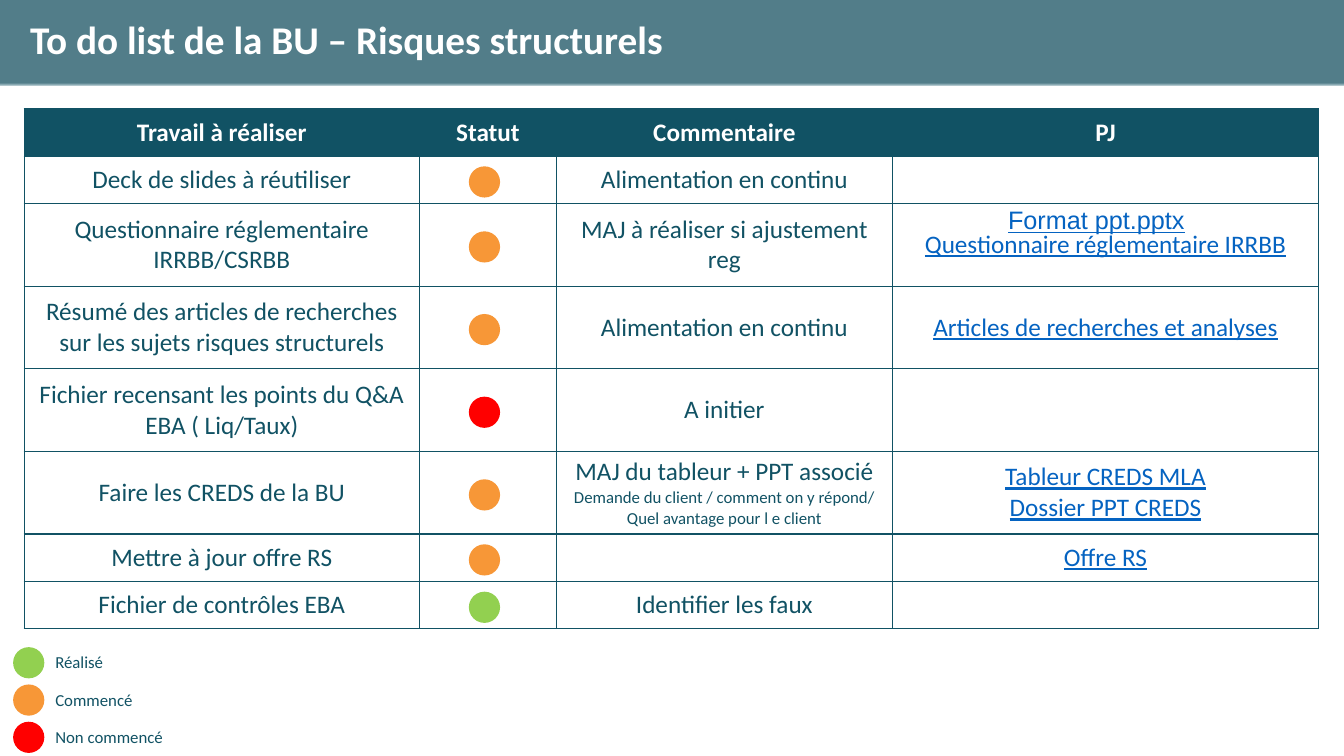
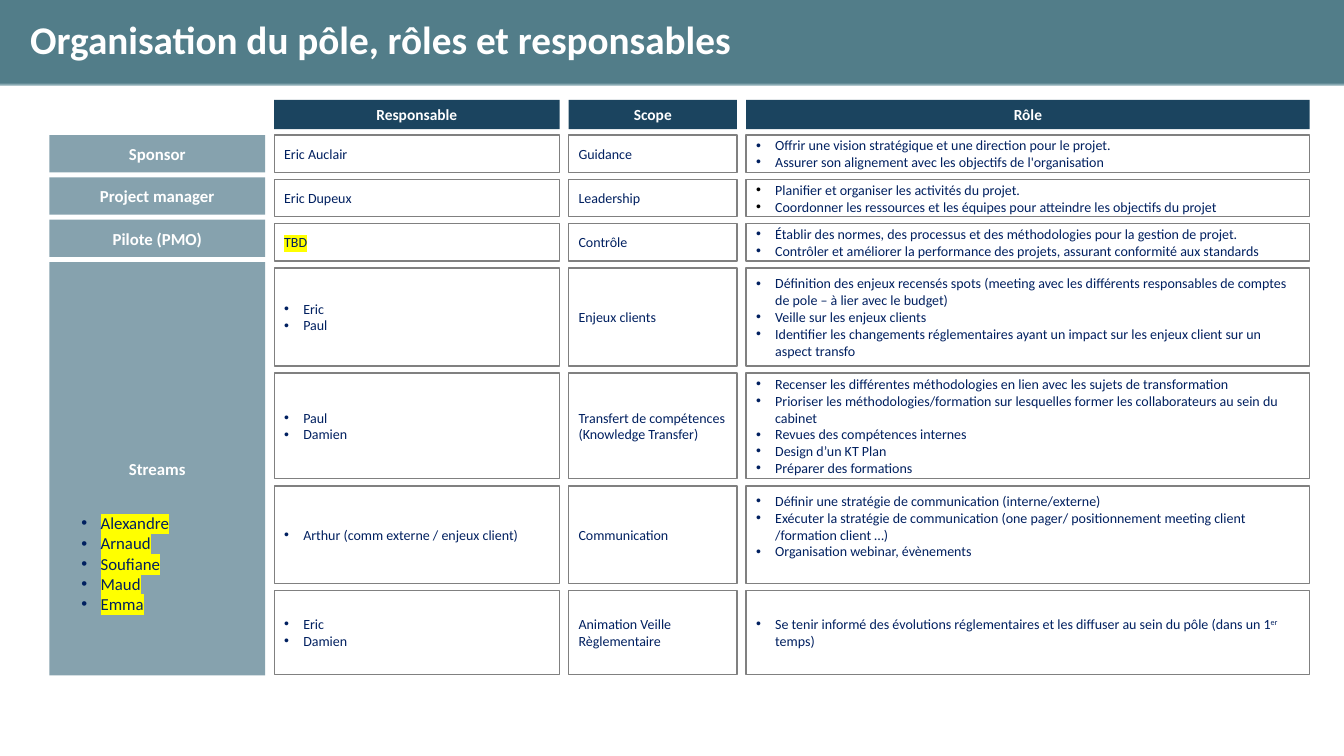
from lxml import etree
from pptx import Presentation
from pptx.dml.color import RGBColor
from pptx.enum.shapes import MSO_SHAPE
from pptx.enum.text import MSO_ANCHOR, MSO_AUTO_SIZE, PP_ALIGN
from pptx.oxml.ns import qn
from pptx.util import Inches, Pt

RECTANGLE, ELLIPSE = MSO_SHAPE.RECTANGLE, MSO_SHAPE.OVAL
TOP, MIDDLE = MSO_ANCHOR.TOP, MSO_ANCHOR.MIDDLE
LEFT, CENTER = PP_ALIGN.LEFT, PP_ALIGN.CENTER

WIDTH, HEIGHT, BAND_HEIGHT = 13.33, 7.5, 0.83
FONT = "Calibri"
WHITE, TEAL, BAND, LINK = "FFFFFF", "115264", "1F5363", "0563C1"
NAVY, HEADER, LABEL, GREY, YELLOW = "002060", "1B445F", "86A2AE", "808080", "FFFF00"
DONE, STARTED, PENDING = "92D050", "F79737", "FF0000"
DOT = 0.31


def colour(code):
    return RGBColor.from_string(code)


def child(parent, tag, **attributes):
    return etree.SubElement(parent, qn(tag), attributes)


def add_bullet(para, bullet_colour):
    properties = para._p.get_or_add_pPr()
    indent = Inches(0.19)
    properties.set("marL", str(indent))
    properties.set("indent", str(-indent))
    if bullet_colour:
        child(child(properties, "a:buClr"), "a:srgbClr", val=bullet_colour)
    child(properties, "a:buFont", typeface="Arial")
    child(properties, "a:buChar", char="•")


def add_span(para, text, size, ink, bold=False, underline=False, font=FONT,
             highlight=None, superscript=False):
    span = para.add_run()
    span.text = text
    span.font.size = Pt(size)
    span.font.bold = bold
    span.font.name = font
    span.font.color.rgb = colour(ink)
    if underline:
        span.font.underline = True
    properties = span._r.get_or_add_rPr()
    if superscript:
        properties.set("baseline", "30000")
    if highlight:
        mark = etree.Element(qn("a:highlight"))
        child(mark, "a:srgbClr", val=highlight)
        properties.find(qn("a:latin")).addprevious(mark)


def write(frame, content, align=LEFT, line_spacing=None, bullet=False,
          bullet_colour=None, **style):
    """Write a string or a list of paragraphs; a paragraph is a string or a
    list of (text, style changes) spans."""
    paragraphs = [content] if isinstance(content, str) else content
    for index, spans in enumerate(paragraphs):
        para = frame.paragraphs[0] if index == 0 else frame.add_paragraph()
        para.alignment = align
        if line_spacing:
            para.line_spacing = line_spacing
        if bullet:
            add_bullet(para, bullet_colour)
        if isinstance(spans, str):
            spans = [(spans, {})]
        for text, changes in spans:
            add_span(para, text, **{**style, **changes})


def add_shape(page, kind, left, top, width, height, fill, line=None):
    shape = page.shapes.add_shape(kind, Inches(left), Inches(top),
                                  Inches(width), Inches(height))
    shape.shadow.inherit = False
    shape.fill.solid()
    shape.fill.fore_color.rgb = colour(fill)
    if line:
        shape.line.color.rgb = colour(line)
        shape.line.width = Pt(1)
    else:
        shape.line.fill.background()
    return shape


def add_box(page, left, top, width, height, content, fill, line=None,
            bottom=0.05, **style):
    box = add_shape(page, RECTANGLE, left, top, width, height, fill, line)
    frame = box.text_frame
    frame.word_wrap = True
    frame.vertical_anchor = MIDDLE
    frame.margin_bottom = Inches(bottom)
    write(frame, content, **style)


def add_text(page, left, top, width, height, content, anchor=TOP, **style):
    box = page.shapes.add_textbox(Inches(left), Inches(top),
                                  Inches(width), Inches(height))
    box.text_frame.word_wrap = True
    box.text_frame.vertical_anchor = anchor
    write(box.text_frame, content, **style)


def add_dot(page, left, top, fill):
    add_shape(page, ELLIPSE, left, top, DOT, DOT, fill)


def add_layout_bands(page, layout):
    """Place the two translucent title bands behind the layout's title."""
    bands = ((TEAL, BAND_HEIGHT + 0.02), (BAND, BAND_HEIGHT))
    for index, (fill, height) in enumerate(bands):
        band = add_shape(page, RECTANGLE, 0, 0, WIDTH, height, fill)
        ink = band._element.spPr.find(qn("a:solidFill"))[0]
        child(ink, "a:alpha", val="50000")
        layout.shapes._spTree.insert(2 + index, band._element)


def set_title(page, text):
    title = page.shapes.title
    title.left, title.top = Inches(0), Inches(0)
    title.width, title.height = Inches(WIDTH), Inches(BAND_HEIGHT)
    frame = title.text_frame
    frame.auto_size = MSO_AUTO_SIZE.NONE
    frame.word_wrap = True
    frame.vertical_anchor = MIDDLE
    frame.margin_left = frame.margin_right = Inches(0.3)
    write(frame, text, size=28, ink=WHITE, bold=True, line_spacing=0.9)


def format_cell(cell, fill):
    cell.vertical_anchor = MIDDLE
    properties = cell._tc.get_or_add_tcPr()
    for side in ("a:lnL", "a:lnR", "a:lnT", "a:lnB"):
        border = child(properties, side, w=str(Pt(1)))
        child(child(border, "a:solidFill"), "a:srgbClr", val=TEAL)
    cell.fill.solid()
    cell.fill.fore_color.rgb = colour(fill)


TASK_HEADERS = ("Travail à réaliser", "Statut", "Commentaire", "PJ")
SHORT, TALL = 0.47, 0.82
# Height, task, status, comment, attachments
TASKS = (
    (SHORT, "Deck de slides à réutiliser", STARTED, "Alimentation en continu", ""),
    (TALL, "Questionnaire réglementaire IRRBB/CSRBB", STARTED,
     "MAJ à réaliser si ajustement reg", "Questionnaire réglementaire IRRBB"),
    (TALL, "Résumé des articles de recherches sur les sujets risques structurels",
     STARTED, "Alimentation en continu", "Articles de recherches et analyses"),
    (TALL, "Fichier recensant les points du Q&A EBA ( Liq/Taux)", PENDING,
     "A initier", ""),
    (TALL, "Faire les CREDS de la BU", STARTED,
     ["MAJ du tableur + PPT associé",
      [("Demande du client / comment on y répond/ Quel avantage pour l e client",
        {"size": 12})]],
     ["Tableur CREDS MLA", "Dossier PPT CREDS"]),
    (SHORT, "Mettre à jour offre RS", STARTED, "", "Offre RS"),
    (SHORT, "Fichier de contrôles EBA", DONE, "Identifier les faux", ""),
)
LEGEND = ((DONE, "Réalisé"), (STARTED, "Commencé"), (PENDING, "Non commencé"))


def add_task_table(page, left, top):
    widths = (3.92, 1.36, 3.33, 4.23)
    heights = [SHORT] + [task[0] for task in TASKS]
    table = page.shapes.add_table(
        len(heights), len(widths), Inches(left), Inches(top),
        Inches(sum(widths)), Inches(sum(heights))).table
    table.first_row = table.horz_banding = False
    for column, width in zip(table.columns, widths):
        column.width = Inches(width)
    for row, height in zip(table.rows, heights):
        row.height = Inches(height)

    for cell, text in zip(table.rows[0].cells, TASK_HEADERS):
        format_cell(cell, TEAL)
        write(cell.text_frame, text, align=CENTER, size=18, ink=WHITE, bold=True)

    row_top = top + SHORT
    for row, (height, task, status, comment, files) in enumerate(TASKS, 1):
        for column, content in enumerate((task, "", comment, files)):
            cell = table.cell(row, column)
            format_cell(cell, WHITE)
            is_link = column == 3
            if content:
                write(cell.text_frame, content, align=CENTER, size=18,
                      ink=LINK if is_link else TEAL, underline=is_link)
        add_dot(page, left + widths[0] + 0.49,
                row_top + (height - DOT) / 2 + 0.02, status)
        row_top += height


def add_legend(page, left, top):
    for index, (status, text) in enumerate(LEGEND):
        row_top = top + 0.37 * index
        add_dot(page, left, row_top, status)
        add_text(page, left + 0.32, row_top, 2.2, 0.3, text, size=12, ink=TEAL)


def build_todo(page):
    set_title(page, "To do list de la BU – Risques structurels")
    add_task_table(page, 0.24, 1.08)
    add_text(page, 9.9, 1.98, 2.14, 0.4, "Format ppt.pptx", anchor=MIDDLE,
             size=18, ink=LINK, underline=True, font="Arial")
    add_legend(page, 0.13, 6.42)


ROLE_HEADERS = ("Responsable", "Scope", "Rôle")
ROLE_WIDTHS = (2.83, 1.67, 5.59)
ROLE_LABELS = (("Sponsor", 0.37), ("Project manager", 0.37),
               ("Pilote (PMO)", 0.37), ("Streams", 4.1))
STREAM_MEMBERS = ["Alexandre", "Arnaud", "Soufiane", "Maud", "Emma"]
# Height, people (a list is bulleted), scope, roles, changes to the role box
ROLES = (
    (0.37, "Eric Auclair", "Guidance",
     ["Offrir une vision stratégique et une direction pour le projet.",
      "Assurer son alignement avec les objectifs de l'organisation"], {}),
    (0.37, "Eric Dupeux", "Leadership",
     ["Planifier et organiser les activités du projet.",
      "Coordonner les ressources et les équipes pour atteindre les objectifs du projet"],
     {"bullet_colour": "000000"}),
    (0.37, "TBD", "Contrôle",
     ["Établir des normes, des processus et des méthodologies pour la gestion de projet.",
      "Contrôler et améliorer la performance des projets, assurant conformité aux standards"],
     {}),
    (0.97, ["Eric", "Paul"], "Enjeux clients",
     ["Définition des enjeux recensés spots (meeting avec les différents responsables "
      "de comptes de pole – à lier avec le budget)",
      "Veille sur les enjeux clients",
      "Identifier les changements réglementaires ayant un impact sur les enjeux client "
      "sur un aspect transfo"], {}),
    (1.05, ["Paul", "Damien"], ["Transfert de compétences", "(Knowledge Transfer)"],
     ["Recenser les différentes méthodologies en lien avec les sujets de transformation",
      "Prioriser les méthodologies/formation sur lesquelles former les collaborateurs "
      "au sein du cabinet",
      "Revues des compétences internes",
      "Design d’un KT Plan",
      "Préparer des formations"], {}),
    (0.97, ["Arthur (comm externe / enjeux client)"], "Communication",
     ["Définir une stratégie de communication (interne/externe)",
      "Exécuter la stratégie de communication (one pager/ positionnement meeting client "
      "/formation client …)",
      "Organisation webinar, évènements"], {"bottom": 0.22}),
    (0.83, ["Eric", "Damien"], "Animation Veille Règlementaire",
     [[("Se tenir informé des évolutions réglementaires et les diffuser au sein du pôle "
        "(dans un 1", {}), ("er", {"superscript": True}), (" temps)", {})]], {}),
)


def add_role_labels(page, left, top):
    for text, height in ROLE_LABELS:
        add_box(page, left, top, 2.14, height, text, LABEL, align=CENTER,
                size=12, ink=WHITE, bold=True)
        top += height + 0.05


def add_role_grid(page, left, top):
    gap, header_height = 0.09, 0.29
    lefts = [left + sum(ROLE_WIDTHS[:index]) + gap * index
             for index in range(len(ROLE_WIDTHS))]
    for box_left, width, text in zip(lefts, ROLE_WIDTHS, ROLE_HEADERS):
        add_box(page, box_left, top, width, header_height, text, HEADER,
                align=CENTER, size=11, ink=WHITE, bold=True)

    row_top = top + header_height + 0.06
    for height, people, scope, roles, role_changes in ROLES:
        changes = ({"bullet": isinstance(people, list),
                    "highlight": YELLOW if people == "TBD" else None},
                   {}, {"bullet": True, **role_changes})
        for box_left, width, content, change in zip(
                lefts, ROLE_WIDTHS, (people, scope, roles), changes):
            add_box(page, box_left, row_top, width, height, content, WHITE,
                    line=GREY, size=10, ink=NAVY, **change)
        row_top += height + 0.07


def build_organisation(page):
    set_title(page, "Organisation du pôle, rôles et responsables")
    add_role_labels(page, 0.49, 1.34)
    add_role_grid(page, 2.72, 0.99)
    add_text(page, 0.71, 5.04, 1.46, 1.11, STREAM_MEMBERS, bullet=True,
             size=12, ink=NAVY, highlight=YELLOW)


def main():
    deck = Presentation()
    deck.slide_width, deck.slide_height = Inches(WIDTH), Inches(HEIGHT)
    layout = deck.slide_layouts[5]
    pages = [deck.slides.add_slide(layout) for _ in range(2)]
    add_layout_bands(pages[0], layout)
    build_todo(pages[0])
    build_organisation(pages[1])
    deck.save("out.pptx")


if __name__ == "__main__":
    main()
